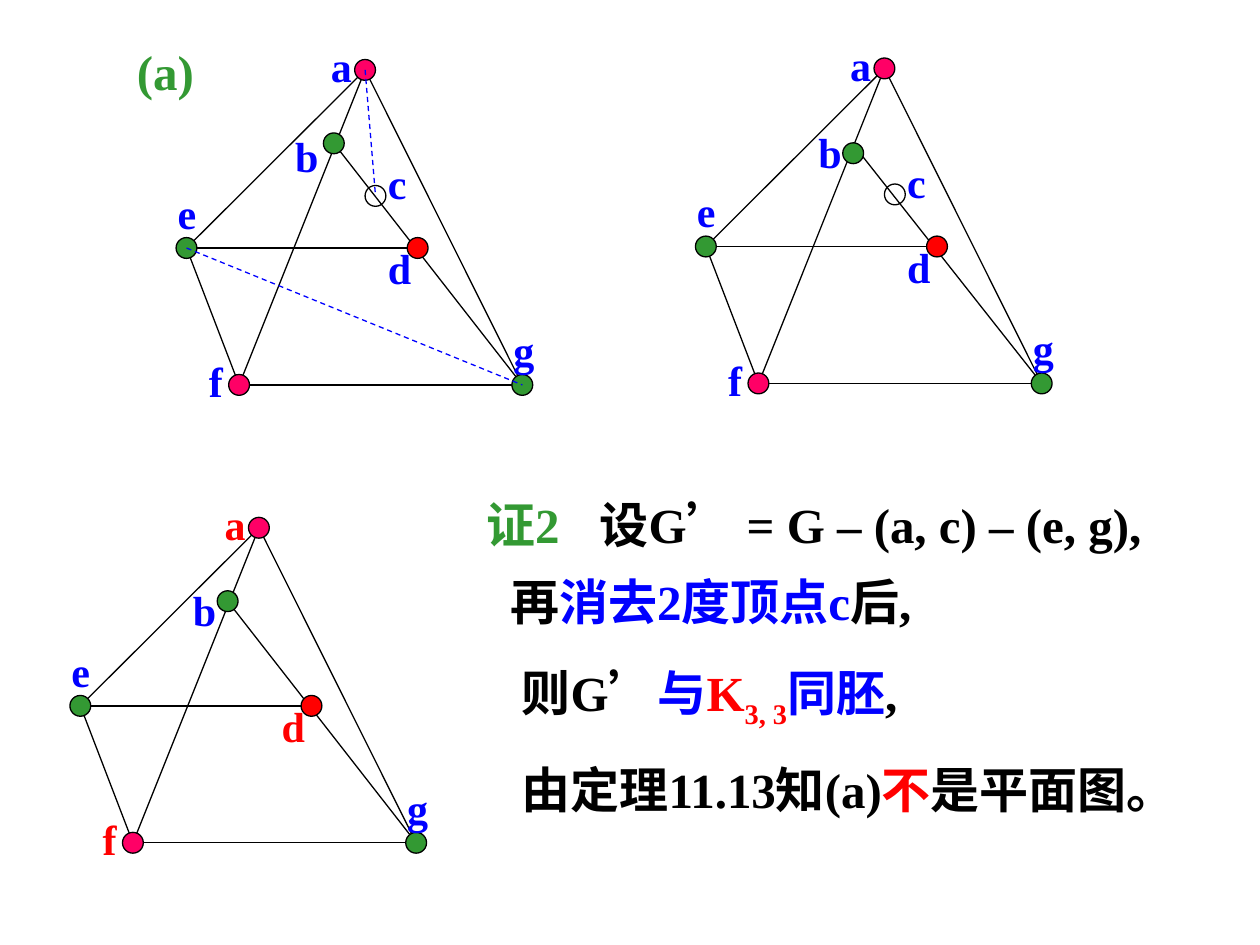
from lxml import etree
from pptx import Presentation
from pptx.dml.color import RGBColor
from pptx.enum.dml import MSO_LINE
from pptx.enum.shapes import MSO_CONNECTOR, MSO_SHAPE
from pptx.enum.text import MSO_AUTO_SIZE, PP_ALIGN
from pptx.oxml.ns import qn
from pptx.util import Cm, Pt

STRAIGHT = MSO_CONNECTOR.STRAIGHT
OVAL = MSO_SHAPE.OVAL
DASH = MSO_LINE.DASH
FIT_SHAPE = MSO_AUTO_SIZE.SHAPE_TO_FIT_TEXT
JUSTIFY = PP_ALIGN.JUSTIFY

BLACK = RGBColor(0x00, 0x00, 0x00)
BLUE = RGBColor(0x00, 0x00, 0xFF)
RED = RGBColor(0xFF, 0x00, 0x00)
GREEN = RGBColor(0x33, 0x99, 0x33)
PINK = RGBColor(0xFF, 0x00, 0x66)

FONT = "Times New Roman"
RADIUS = 0.21
LABEL_HEIGHT = 1.27

VERTICES = {
    "d": (4.66, 3.59, RED),
    "g": (6.77, 6.35, GREEN),
    "e": (0, 3.59, GREEN),
    "a": (3.6, 0, PINK),
    "b": (2.97, 1.48, GREEN),
    "f": (1.06, 6.35, PINK),
    "c": (3.81, 2.54, None),
}
EDGES = ["ae", "ef", "af", "fg", "ag", "ed", "bg"]
LABELS = {
    "a": (-0.94, -0.71, 0.91),
    "b": (-0.95, -0.47, 0.97),
    "c": (0, -0.89, 0.89),
    "e": (-0.43, -1.35, 0.89),
    "f": (-0.86, -0.71, 0.79),
    "g": (-0.43, -1.35, 0.91),
    "d": (-0.85, -0.23, 0.97),
}


def style_font(font, size, color=None):
    font.name = FONT
    font.size = Pt(size)
    font.bold = True
    if color is not None:
        font.color.rgb = color


def add_label(page, text, left, top, width, height, size, color):
    box = page.shapes.add_textbox(Cm(left), Cm(top), Cm(width), Cm(height))
    frame = box.text_frame
    frame.word_wrap = False
    frame.auto_size = FIT_SHAPE
    para = frame.paragraphs[0]
    para.text = text
    style_font(para.font, size, color)


def add_edge(page, start, end, color=BLACK, dash=None):
    edge = page.shapes.add_connector(STRAIGHT, *(Cm(value) for value in (*start, *end)))
    edge.line.color.rgb = color
    edge.line.width = Pt(0.75)
    if dash is not None:
        edge.line.dash_style = dash
    etree.SubElement(edge._element.spPr, qn("a:effectLst"))


def add_vertex(page, center, color):
    x, y = center
    dot = page.shapes.add_shape(
        OVAL, Cm(x - RADIUS), Cm(y - RADIUS), Cm(2 * RADIUS), Cm(2 * RADIUS))
    dot.shadow.inherit = False
    if color is None:
        dot.fill.background()
    else:
        dot.fill.solid()
        dot.fill.fore_color.rgb = color
    dot.line.color.rgb = BLACK
    dot.line.width = Pt(0.75)


def add_graph(page, left, top, names="abcdefg", dashed=(), red_labels="",
              b_drop=0, b_label=(0, 0)):
    centers = {name: (left + VERTICES[name][0], top + VERTICES[name][1])
               for name in VERTICES if name in names}
    b_x, b_y = centers["b"]
    centers["b"] = (b_x, b_y + b_drop)
    for start, end in EDGES:
        x, y = centers[start]
        if start == "b" and b_drop:
            x += 0.14
        add_edge(page, (x, y), centers[end])
    for name, center in centers.items():
        add_vertex(page, center, VERTICES[name][2])
    for start, end in dashed:
        add_edge(page, centers[start], centers[end], BLUE, DASH)
    for name, (x, y) in centers.items():
        shift_x, shift_y, width = LABELS[name]
        if name == "b":
            shift_x, shift_y = shift_x + b_label[0], shift_y + b_label[1]
        color = RED if name in red_labels else BLUE
        add_label(page, name, x + shift_x, y + shift_y, width, LABEL_HEIGHT, 24, color)


def add_proof(page, left, top, width, height):
    lines = [
        (0, 0.25, 1.1, [("证2\t", GREEN), ("设G’ = G – (a, c) – (e, g),", BLACK)]),
        (0.74, 0, 1.1, [("再", BLACK), ("消去2度顶点c", BLUE), ("后,", BLACK)]),
        (0.97, 0, 1.3, [("则G’", BLACK), ("与", BLUE), ("K", RED), ("3, 3", RED),
                        ("同胚", BLUE), (",", BLACK)]),
        (0.97, 0, 1.3, [("由定理11.13知(a)", BLACK), ("不", RED), ("是平面图。", BLACK)]),
    ]
    box = page.shapes.add_textbox(Cm(left), Cm(top), Cm(width), Cm(height))
    frame = box.text_frame
    frame.word_wrap = True
    for index, (margin, indent, spacing, spans) in enumerate(lines):
        para = frame.add_paragraph() if index else frame.paragraphs[0]
        properties = para._p.get_or_add_pPr()
        properties.set("marL", str(Cm(margin)))
        properties.set("indent", str(Cm(indent)))
        if index == 0:
            tabs = etree.SubElement(properties, qn("a:tabLst"))
            etree.SubElement(tabs, qn("a:tab"), pos=str(Cm(2.67)), algn="l")
        para.alignment = JUSTIFY
        para.line_spacing = spacing
        para.space_before = Pt(7 if index else 0)
        style_font(para.font, 28)
        for text, color in spans:
            span = para.add_run()
            span.text = text
            span.font.color.rgb = color
            if text == "3, 3":
                span.font._element.set("baseline", "-25000")


def main():
    deck = Presentation()
    deck.slide_width = Cm(25.4)
    deck.slide_height = Cm(19.05)
    page = deck.slides.add_slide(deck.slide_layouts[6])
    add_proof(page, 9.3, 9.73, 15.67, 7.59)
    add_graph(page, 3.76, 1.41, dashed=("eg", "ac"), b_label=(-0.08, 0.08))
    add_label(page, "(a)", 2.51, 0.71, 1.65, 1.45, 28, GREEN)
    add_graph(page, 14.23, 1.38, b_drop=0.23, b_label=(0, -0.2))
    add_graph(page, 1.62, 10.64, names="abdefg", red_labels="afd")
    deck.save("out.pptx")


if __name__ == "__main__":
    main()
